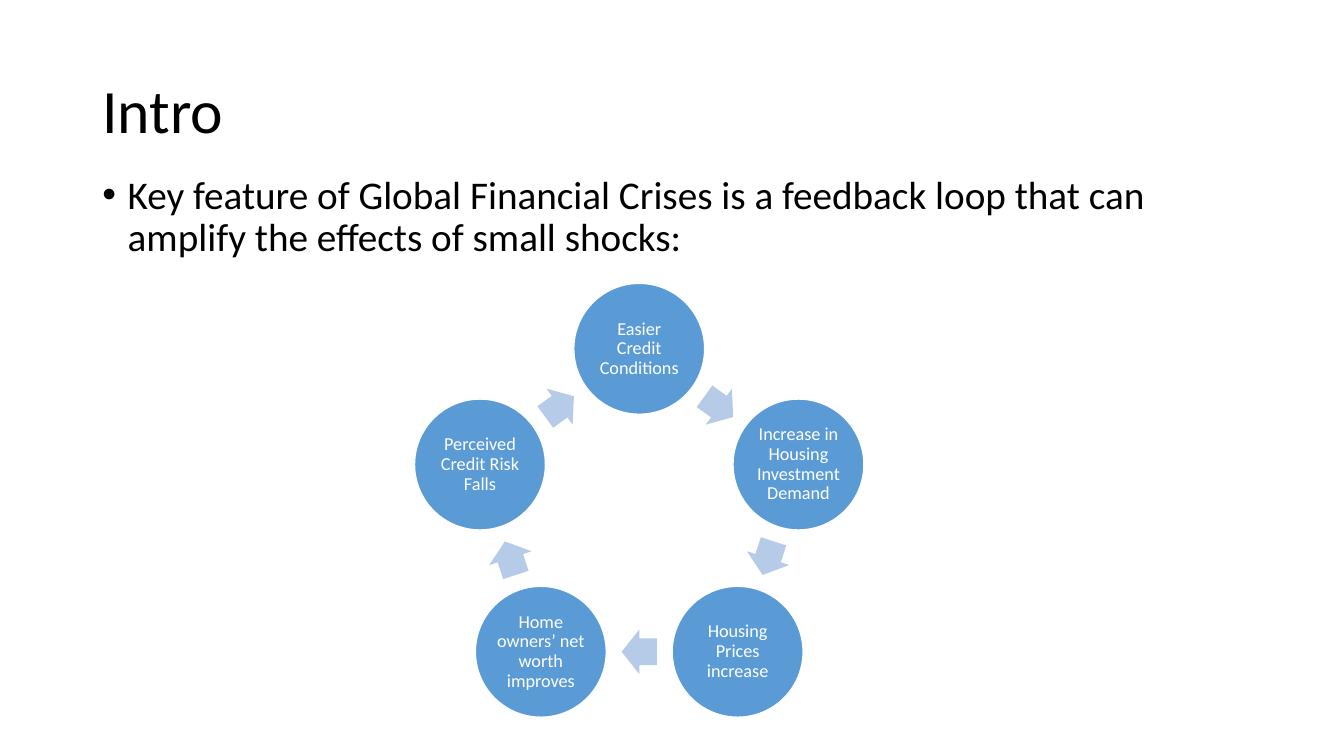
import math

from lxml import etree
from pptx import Presentation
from pptx import util as u
from pptx.dml.color import RGBColor
from pptx.enum import shapes, text
from pptx.oxml import ns

BLACK = RGBColor(0x00, 0x00, 0x00)
WHITE = RGBColor(0xFF, 0xFF, 0xFF)
BLUE = RGBColor(0x5B, 0x9B, 0xD5)
PALE_BLUE = RGBColor(0xB5, 0xCB, 0xE7)

CENTER_X, CENTER_Y, RADIUS = 16.11, 13.01, 4.22
DIAMETER = 3.3
ARROW_LENGTH, ARROW_HEIGHT = 0.89, 1.12
STAGES = [
    "Easier Credit Conditions",
    "Increase in Housing Investment Demand",
    "Housing Prices increase",
    "Home owners’ net worth improves",
    "Perceived Credit Risk Falls",
]


def write(shape, wording, size, color, **frame_format):
    frame = shape.text_frame
    for name, value in {"word_wrap": True, **frame_format}.items():
        setattr(frame, name, value)
    para = frame.paragraphs[0]
    para.line_spacing = 0.9
    span = para.add_run()
    span.text = wording
    for name, value in {"name": "Calibri", "size": u.Pt(size)}.items():
        setattr(span.font, name, value)
    span.font.color.rgb = color
    return para


def add_on_ring(kind, angle, radius, width, height, fill):
    x = CENTER_X + radius * math.sin(math.radians(angle))
    y = CENTER_Y - radius * math.cos(math.radians(angle))
    shape = page.shapes.add_shape(
        kind, u.Cm(x - width / 2), u.Cm(y - height / 2), u.Cm(width), u.Cm(height)
    )
    shape.shadow.inherit = False
    shape.fill.solid()
    shape.fill.fore_color.rgb = fill
    return shape


deck = Presentation()
deck.slide_width, deck.slide_height = u.Cm(33.87), u.Cm(19.05)
page = deck.slides.add_slide(deck.slide_layouts[6])

title = page.shapes.add_textbox(u.Cm(2.33), u.Cm(1.01), u.Cm(29.21), u.Cm(3.68))
write(title, "Intro", 44, BLACK, vertical_anchor=text.MSO_ANCHOR.MIDDLE)

body = page.shapes.add_textbox(u.Cm(2.33), u.Cm(4.29), u.Cm(29.21), u.Cm(12.09))
feature = write(
    body,
    "Key feature of Global Financial Crises is a feedback loop that can "
    "amplify the effects of small shocks:",
    28,
    BLACK,
)
feature.space_before = u.Pt(10)
properties = feature._p.get_or_add_pPr()
indent = u.Cm(0.64)
properties.set("marL", str(indent))
properties.set("indent", str(-indent))
etree.SubElement(properties, ns.qn("a:buFont")).set("typeface", "Arial")
etree.SubElement(properties, ns.qn("a:buChar")).set("char", "•")

step = 360 / len(STAGES)
arrow_radius = RADIUS * math.cos(math.radians(step / 2))
inset = u.Cm(0.05)
margins = {f"margin_{side}": inset for side in ("left", "top", "right", "bottom")}

for index, stage in enumerate(STAGES):
    angle = index * step
    circle = add_on_ring(
        shapes.MSO_SHAPE.OVAL, angle, RADIUS, DIAMETER, DIAMETER, BLUE
    )
    circle.line.color.rgb = WHITE
    circle.line.width = u.Pt(1)
    para = write(
        circle, stage, 13, WHITE, vertical_anchor=text.MSO_ANCHOR.MIDDLE, **margins
    )
    para.alignment = text.PP_ALIGN.CENTER

    arrow = add_on_ring(
        shapes.MSO_SHAPE.RIGHT_ARROW,
        angle + step / 2,
        arrow_radius,
        ARROW_LENGTH,
        ARROW_HEIGHT,
        PALE_BLUE,
    )
    arrow.line.fill.background()
    arrow.rotation = angle + step / 2
    arrow.adjustments[0] = 0.6
    arrow.adjustments[1] = 0.5

deck.save("out.pptx")
